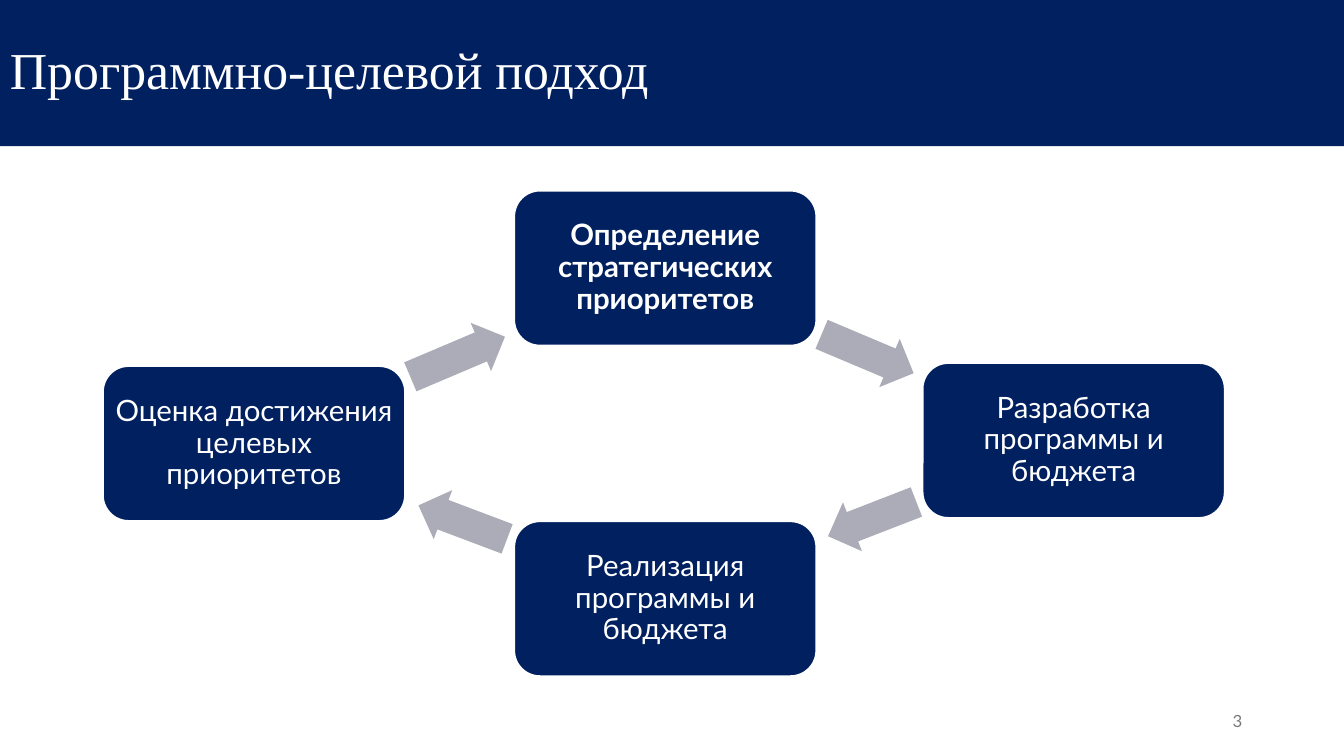
import pptx
import pptx.util
import pptx.dml.color
import pptx.enum.shapes
import pptx.enum.text
from dataclasses import dataclass

Kind = pptx.enum.shapes.MSO_SHAPE
Align = pptx.enum.text.PP_ALIGN
Anchor = pptx.enum.text.MSO_ANCHOR


@dataclass(frozen=True)
class Theme:
    navy: str = "002060"
    white: str = "FFFFFF"
    arrow: str = "ABACB7"
    muted: str = "797979"
    head: str = "Times New Roman"
    body: str = "Lato"
    large: int = 37
    medium: int = 21
    small: int = 12


THEME = Theme()
WIDE, HIGH = 13.33, 7.5
STEP_W, STEP_H = 22.5, 20.53
ARROW_H = 6.93

STEPS = [
    ("Определение стратегических приоритетов", 38.25, 25.2, True),
    ("Разработка программы и бюджета", 68.64, 48, False),
    ("Реализация программы и бюджета", 38.25, 68.93, False),
    ("Оценка достижения целевых приоритетов", 7.65, 48.4, False),
]
ARROWS = [
    (60.84, 43.33, 7.43, 22.9),
    (61.37, 65.2, 7.05, 158.8),
    (30.91, 65.6, 7.05, 200.7),
    (30.23, 43.73, 7.65, 337),
]


def color(code):
    return pptx.dml.color.RGBColor.from_string(code)


def place(left, top, width, height):
    sides = (left, WIDE), (top, HIGH), (width, WIDE), (height, HIGH)
    return [pptx.util.Inches(share * full / 100) for share, full in sides]


def write(shape, text, font=THEME.body, size=THEME.medium, tint=THEME.white,
          bold=False, align=Align.CENTER, inset=0.1, pitch=0.9):
    frame = shape.text_frame
    frame.word_wrap = True
    frame.vertical_anchor = Anchor.MIDDLE
    frame.margin_left = frame.margin_right = pptx.util.Inches(inset)
    frame.margin_top = frame.margin_bottom = pptx.util.Inches(min(inset, 0.05))
    line = frame.paragraphs[0]
    line.alignment = align
    line.line_spacing = pitch
    run = line.add_run()
    run.text = text
    run.font.name = font
    run.font.size = pptx.util.Pt(size)
    run.font.bold = bold
    run.font.color.rgb = color(tint)


def draw(slide, kind, area, fill, edge=None):
    shape = slide.shapes.add_shape(kind, *place(*area))
    shape.shadow.inherit = False
    shape.fill.solid()
    shape.fill.fore_color.rgb = color(fill)
    if edge:
        shape.line.color.rgb = color(edge)
        shape.line.width = pptx.util.Pt(1.5)
    else:
        shape.line.fill.background()
    return shape


def title(slide, text):
    band = draw(slide, Kind.RECTANGLE, (0, 0, 100, 19.33), THEME.navy)
    write(band, text, font=THEME.head, size=THEME.large, align=Align.LEFT)


def step(slide, text, left, top, bold):
    area = left, top, STEP_W, STEP_H
    box = draw(slide, Kind.ROUNDED_RECTANGLE, area, THEME.navy, THEME.white)
    write(box, text, bold=bold, inset=0.02)


def arrow(slide, left, top, width, angle):
    area = left, top, width, ARROW_H
    shape = draw(slide, Kind.RIGHT_ARROW, area, THEME.arrow)
    shape.adjustments[0] = 0.6
    shape.adjustments[1] = 0.5
    shape.rotation = angle


def number(slide, text):
    box = slide.shapes.add_textbox(*place(70.67, 92.67, 22.5, 5.33))
    write(box, text, size=THEME.small, tint=THEME.muted,
          align=Align.RIGHT, pitch=1.0)


def main():
    deck = pptx.Presentation()
    deck.slide_width = pptx.util.Inches(WIDE)
    deck.slide_height = pptx.util.Inches(HIGH)
    slide = deck.slides.add_slide(deck.slide_layouts[6])
    title(slide, "Программно-целевой подход")
    number(slide, "3")
    for item in STEPS:
        step(slide, *item)
    for item in ARROWS:
        arrow(slide, *item)
    deck.save("out.pptx")


if __name__ == "__main__":
    main()
